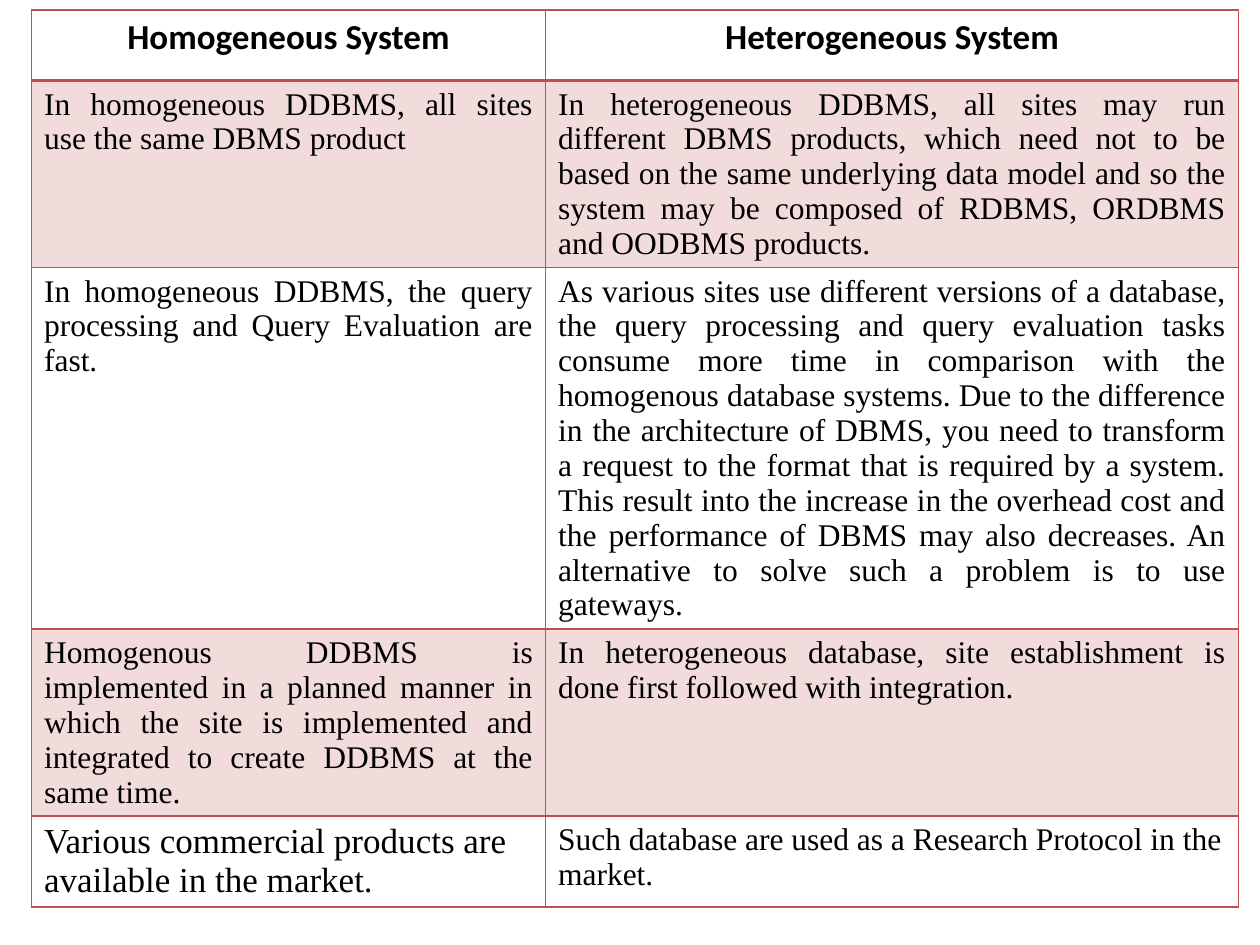
import lxml.etree
import pptx
import pptx.dml.color
import pptx.enum.text
import pptx.oxml.ns
import pptx.util

Inches = pptx.util.Inches
Pt = pptx.util.Pt
Align = pptx.enum.text.PP_ALIGN
qn = pptx.oxml.ns.qn

RED = pptx.dml.color.RGBColor(0xC0, 0x50, 0x4D)
BLACK = pptx.dml.color.RGBColor(0, 0, 0)

COLUMN_WIDTHS = [4.08, 5.5]
ROW_HEIGHTS = [0.56, 1.48, 2.87, 1.21, 0.72]
ROWS = [
    ("Homogeneous System", "Heterogeneous System"),
    ("In homogeneous DDBMS, all sites use the same DBMS product",
     "In heterogeneous DDBMS, all sites may run different DBMS products, "
     "which need not to be based on the same underlying data model and "
     "so the system may be composed of RDBMS, ORDBMS and OODBMS products."),
    ("In homogeneous DDBMS, the query processing and Query Evaluation are fast.",
     "As various sites use different versions of a database, the query "
     "processing and query evaluation tasks consume more time in comparison "
     "with the homogenous database systems. Due to the difference in the "
     "architecture of DBMS, you need to transform a request to the format "
     "that is required by a system. This result into the increase in the "
     "overhead cost and the performance of DBMS may also decreases. An "
     "alternative to solve such a problem is to use gateways."),
    ("Homogenous DDBMS is implemented in a planned manner in which the site "
     "is implemented and integrated to create DDBMS at the same time.",
     "In heterogeneous database, site establishment is done first followed "
     "with integration."),
    ("Various commercial products are available in the market.",
     "Such database are used as a Research Protocol in the market."),
]
LAST_ROW = len(ROWS) - 1


def add_border(cell, side, width):
    line = lxml.etree.SubElement(cell._tc.get_or_add_tcPr(), qn("a:ln" + side),
                                 w=str(Pt(width)))
    fill = lxml.etree.SubElement(line, qn("a:solidFill"))
    lxml.etree.SubElement(fill, qn("a:srgbClr"), val=str(RED))


deck = pptx.Presentation()
deck.slide_width = Inches(10)
deck.slide_height = Inches(7.5)
page = deck.slides.add_slide(deck.slide_layouts[6])

frame = page.shapes.add_table(len(ROWS), len(COLUMN_WIDTHS), Inches(0.25), Inches(0.08),
                              Inches(sum(COLUMN_WIDTHS)), Inches(sum(ROW_HEIGHTS)))
table = frame.table
table.first_row = False
table.horz_banding = False
for column, width in zip(table.columns, COLUMN_WIDTHS):
    column.width = Inches(width)
for row, height in zip(table.rows, ROW_HEIGHTS):
    row.height = Inches(height)

for row_index, texts in enumerate(ROWS):
    is_header = row_index == 0
    for column_index, text in enumerate(texts):
        cell = table.cell(row_index, column_index)

        # Borders go in before the fill, as the schema orders them
        for side in "LRT":
            add_border(cell, side, 2 if side == "T" and row_index == 1 else 1)
        add_border(cell, "B", 2 if is_header else 1)

        if row_index % 2:
            cell.fill.solid()
            cell.fill.fore_color.rgb = RED
            tint = cell._tc.tcPr.find(qn("a:solidFill"))[0]
            lxml.etree.SubElement(tint, qn("a:alpha"), val="20000")
        else:
            cell.fill.background()

        cell.text_frame.text = text
        para = cell.text_frame.paragraphs[0]
        if is_header:
            para.alignment = Align.CENTER
        elif row_index < LAST_ROW:
            para.alignment = Align.JUSTIFY
        else:
            para.alignment = Align.LEFT

        font = para.runs[0].font
        font.name = "Calibri" if is_header else "Times New Roman"
        is_large = is_header or (row_index, column_index) == (LAST_ROW, 0)
        font.size = Pt(20 if is_large else 18)
        font.bold = is_header
        font.color.rgb = BLACK

deck.save("out.pptx")
